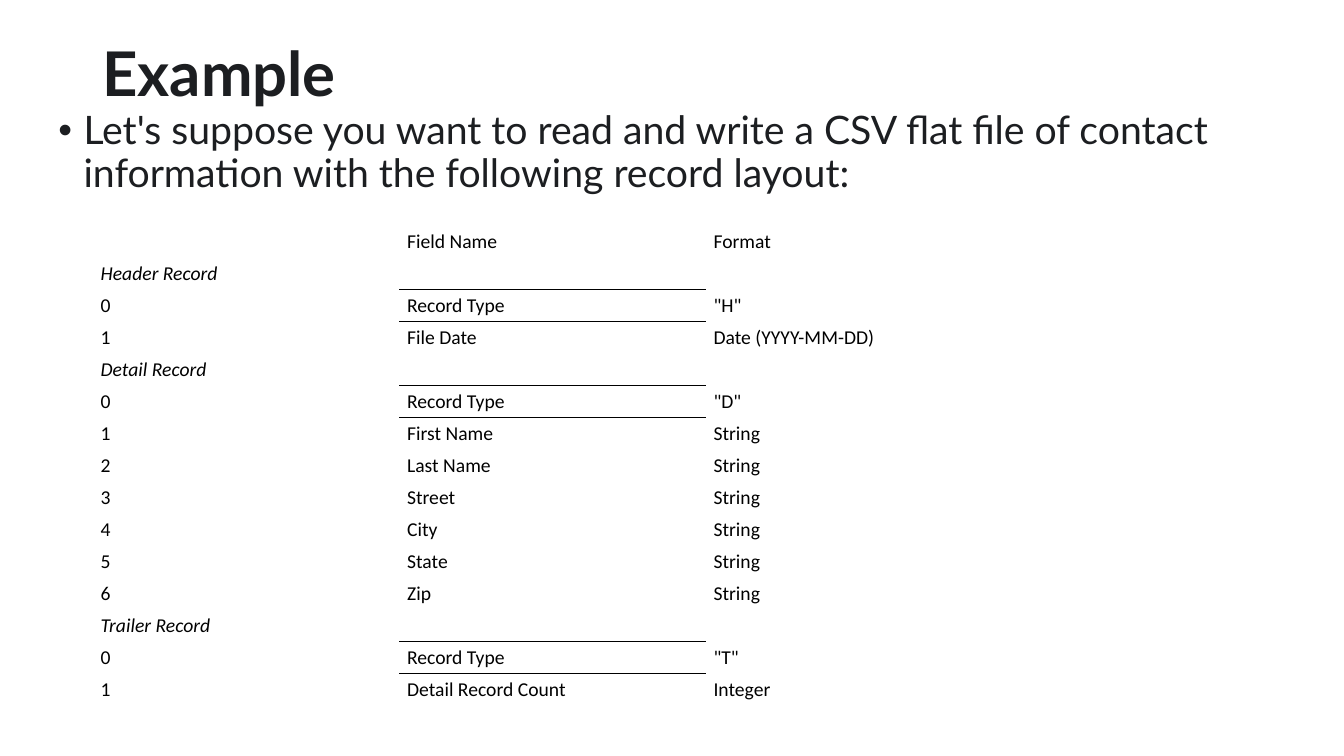
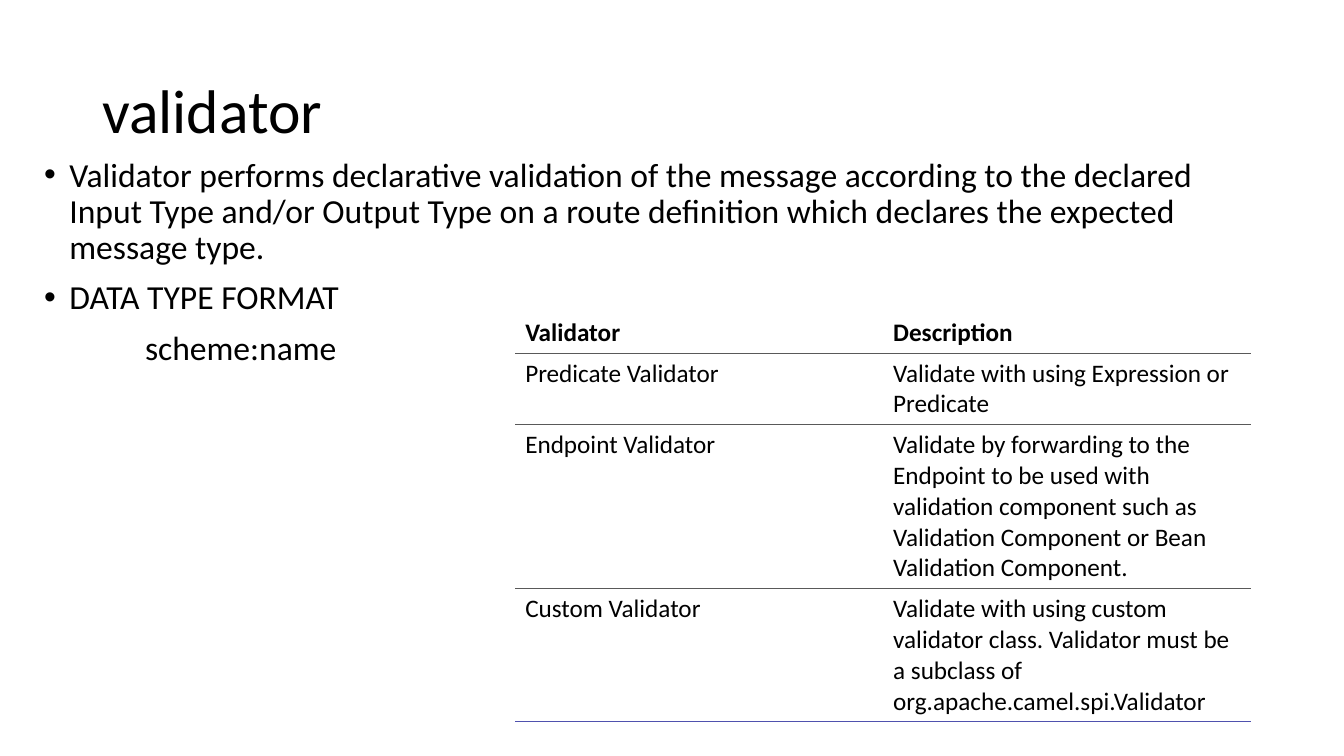
from lxml.etree import SubElement
from pptx import Presentation
from pptx.dml.color import RGBColor
from pptx.enum.text import MSO_ANCHOR as Anchor
from pptx.oxml import parse_xml
from pptx.oxml.ns import nsdecls, qn
from pptx.util import Pt

BLACK = RGBColor(0x00, 0x00, 0x00)
INK = RGBColor(0x1C, 0x1E, 0x21)
WHITE = RGBColor(0xFF, 0xFF, 0xFF)
GREY = RGBColor(0x59, 0x59, 0x59)
INDIGO = RGBColor(0x4F, 0x51, 0xAE)
LATO = "Lato"
CALIBRI = "Calibri"
PLAIN_TABLE = "{2D5ABB26-0587-4C30-8999-92F81FD0307C}"

RECORDS = [
    ("", "Field Name", "Format"),
    ("Header Record",),
    ("0", "Record Type", '"H"'),
    ("1", "File Date", "Date (YYYY-MM-DD)"),
    ("Detail Record",),
    ("0", "Record Type", '"D"'),
    ("1", "First Name", "String"),
    ("2", "Last Name", "String"),
    ("3", "Street", "String"),
    ("4", "City", "String"),
    ("5", "State", "String"),
    ("6", "Zip", "String"),
    ("Trailer Record",),
    ("0", "Record Type", '"T"'),
    ("1", "Detail Record Count", "Integer"),
]

VALIDATORS = [
    ("Validator", "Description"),
    ("Predicate Validator", "Validate with using Expression or Predicate"),
    ("Endpoint Validator",
     "Validate by forwarding to the Endpoint to be used with validation "
     "component such as Validation Component or Bean Validation Component."),
    ("Custom Validator",
     "Validate with using custom validator class. Validator must be a "
     "subclass of org.apache.camel.spi.Validator"),
]


def add_run(p, text, size, font, color, bold=False, italic=False):
    r = p.add_run()
    r.text = text
    r.font.size = Pt(size)
    r.font.name = font
    r.font.color.rgb = color
    r.font.bold = bold
    r.font.italic = italic


def add_text_frame(s, left, top, width, height):
    box = s.shapes.add_textbox(Pt(left), Pt(top), Pt(width), Pt(height))
    tf = box.text_frame
    tf.word_wrap = True
    return tf


def add_title(s, text, font, color, bold=False, open_line=False):
    tf = add_text_frame(s, 66, 28.8, 828, 104.4)
    tf.vertical_anchor = Anchor.MIDDLE
    p = tf.paragraphs[0]
    p.line_spacing = 0.9
    add_run(p, text, 44, font, color, bold)
    if open_line:
        p.add_line_break()
        SubElement(p._p, qn("a:endParaRPr"), sz="4400")


def set_indent(p, left, bullet):
    ppr = p._p.get_or_add_pPr()
    ppr.set("marL", str(Pt(left)))
    ppr.set("indent", str(Pt(-left) if bullet else 0))
    if bullet:
        SubElement(ppr, qn("a:buFont"), typeface="Arial")
        SubElement(ppr, qn("a:buChar"), char="•")
    else:
        SubElement(ppr, qn("a:buNone"))


def add_body(s, frame, items, size, font, color):
    tf = add_text_frame(s, *frame)
    for i, (text, left, bullet) in enumerate(items):
        p = tf.add_paragraph() if i else tf.paragraphs[0]
        p.line_spacing = 0.9
        p.space_before = Pt(10)
        set_indent(p, left, bullet)
        add_run(p, text, size, font, color)


def add_plain_table(s, left, top, col_width, cols, heights):
    frame = s.shapes.add_table(len(heights), cols, Pt(left), Pt(top),
                               Pt(col_width * cols), Pt(sum(heights)))
    table = frame.table
    table.first_row = False
    table.horz_banding = False
    table._tbl.tblPr.find(qn("a:tableStyleId")).text = PLAIN_TABLE
    for column in table.columns:
        column.width = Pt(col_width)
    for row, height in zip(table.rows, heights):
        row.height = Pt(height)
    return table


def fill_cell(cell, text, size, bold=False, italic=False):
    cell.fill.solid()
    cell.fill.fore_color.rgb = WHITE
    p = cell.text_frame.paragraphs[0]
    if text:
        add_run(p, text, size, CALIBRI, BLACK, bold, italic)
    SubElement(p._p, qn("a:endParaRPr"), sz=str(size * 100))


def add_border(cell, side, color):
    line = parse_xml(
        f'<a:{side} {nsdecls("a")} w="{Pt(0.75)}"><a:solidFill>'
        f'<a:srgbClr val="{color}"/></a:solidFill></a:{side}>')
    cell._tc.get_or_add_tcPr().insert(0, line)


def add_record_table(s):
    table = add_plain_table(s, 66.2, 161.3, 218.9, 3, [22.85] * len(RECORDS))
    for i, record in enumerate(RECORDS):
        section = len(record) == 1
        texts = record + ("",) * (3 - len(record))
        for j, text in enumerate(texts):
            cell = table.cell(i, j)
            cell.vertical_anchor = Anchor.MIDDLE
            cell.margin_left = cell.margin_right = Pt(5.7)
            cell.margin_top = cell.margin_bottom = Pt(2.85)
            fill_cell(cell, text, 14, italic=section)
        if section:
            table.cell(i, 0).merge(table.cell(i, 2))
            add_border(table.cell(i + 1, 1), "lnT", BLACK)


def add_validator_table(s):
    table = add_plain_table(s, 368, 223, 262.8, 2, [29.2, 51.2, 117.1, 95.1])
    last = len(VALIDATORS) - 1
    for i, texts in enumerate(VALIDATORS):
        for j, text in enumerate(texts):
            cell = table.cell(i, j)
            fill_cell(cell, text, 18, bold=i == 0)
            add_border(cell, "lnB", INDIGO if i == last else GREY)


def build_example(s):
    add_title(s, "Example", LATO, INK, bold=True, open_line=True)
    add_body(s, (34.6, 75.6, 894.2, 452.2), [
        ("Let's suppose you want to read and write a CSV flat file of contact "
         "information with the following record layout:", 18, True),
    ], 28, LATO, INK)
    add_record_table(s)


def build_validator(s):
    add_title(s, "validator", CALIBRI, BLACK)
    add_body(s, (24.5, 109.4, 869.8, 376.6), [
        ("Validator performs declarative validation of the message according "
         "to the declared Input Type and/or Output Type on a route definition "
         "which declares the expected message type.", 18, True),
        ("DATA TYPE FORMAT", 18, True),
        ("scheme:name", 72, False),
    ], 24, CALIBRI, BLACK)
    add_validator_table(s)


def main():
    prs = Presentation()
    prs.slide_width, prs.slide_height = Pt(960), Pt(540)
    for build in (build_example, build_validator):
        build(prs.slides.add_slide(prs.slide_layouts[6]))
    prs.save("out.pptx")


if __name__ == "__main__":
    main()
